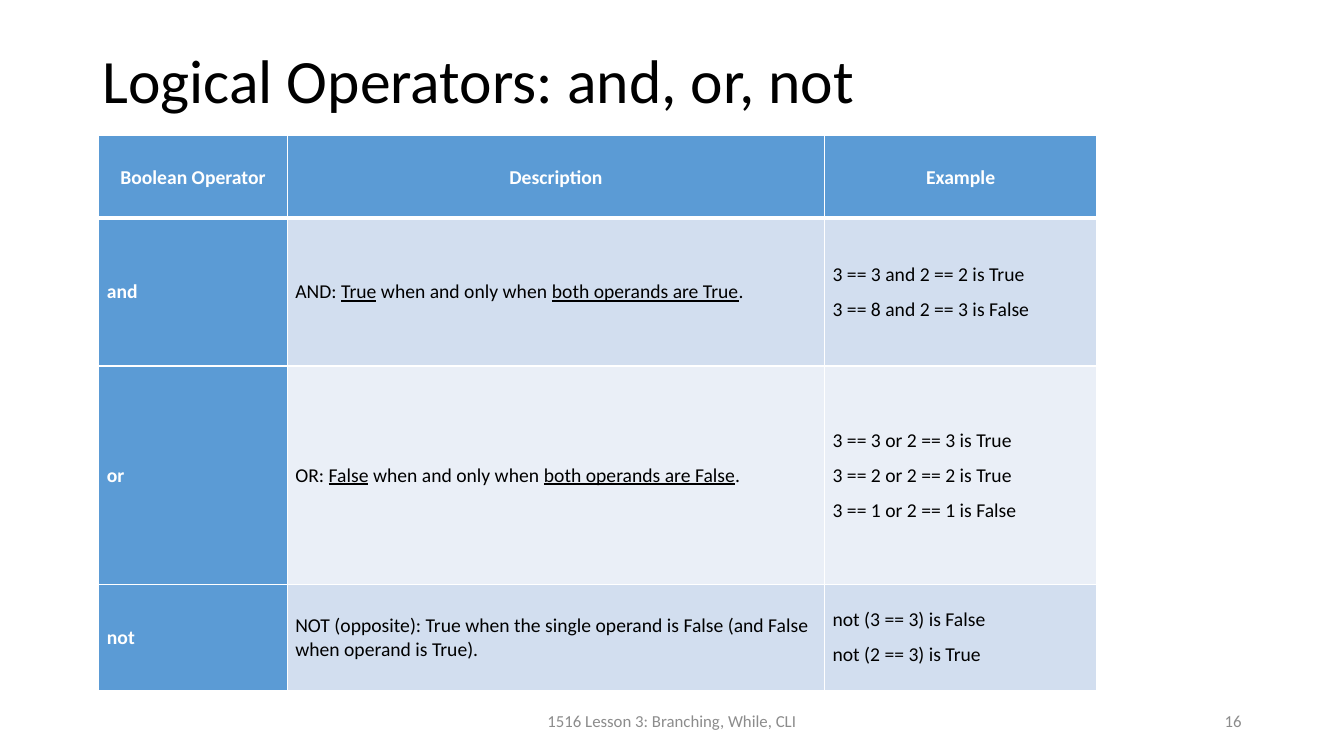
from lxml import etree
from pptx import Presentation
from pptx.dml.color import RGBColor
from pptx.enum.text import MSO_ANCHOR, PP_ALIGN
from pptx.oxml.ns import qn
from pptx.util import Pt

LEFT, CENTER, RIGHT = PP_ALIGN.LEFT, PP_ALIGN.CENTER, PP_ALIGN.RIGHT
MIDDLE = MSO_ANCHOR.MIDDLE
TITLE_ONLY = 5
FONT = "Calibri"
COLORS = {
    "text": "000000",
    "header": "5B9BD5",
    "white": "FFFFFF",
    "dark_band": "D2DEEF",
    "light_band": "EAEFF7",
    "footer": "8C8C8C",
}

TITLE = "Logical Operators: and, or, not"
# Each cell is a list of lines; text between underscores is underlined.
ROWS = [
    [["Boolean Operator"], ["Description"], ["Example"]],
    [
        ["and"],
        ["AND: _True_ when and only when _both operands are True_."],
        ["3 == 3 and 2 == 2 is True", "3 == 8 and 2 == 3 is False"],
    ],
    [
        ["or"],
        ["OR: _False_ when and only when _both operands are False_."],
        ["3 == 3 or 2 == 3 is True", "3 == 2 or 2 == 2 is True", "3 == 1 or 2 == 1 is False"],
    ],
    [
        ["not"],
        ["NOT (opposite): True when the single operand is False (and False when operand is True)."],
        ["not (3 == 3) is False", "not (2 == 3) is True"],
    ],
]
COLUMN_WIDTHS = [134.6, 383.8, 194.4]
ROW_HEIGHTS = [59, 105.8, 156.2, 75.6]
TABLE_LEFT, TABLE_TOP = 70.6, 96.7
FOOTER_TOP, FOOTER_HEIGHT = 500.5, 28.8
# text, left, width, alignment
FOOTERS = [
    ("1516 Lesson 3: Branching, While, CLI", 318, 324, CENTER),
    ("16", 678, 216, RIGHT),
]


def style_run(run, size, color, bold=False, underline=False):
    font = run.font
    font.name = FONT
    font.size = Pt(size)
    font.bold = bold
    font.underline = underline
    font.color.rgb = RGBColor.from_string(COLORS[color])


def place(shape, left, top, width, height):
    shape.left, shape.top = Pt(left), Pt(top)
    shape.width, shape.height = Pt(width), Pt(height)


def add_borders(cell, bottom_width):
    properties = cell._tc.get_or_add_tcPr()
    widths = {"a:lnL": 1, "a:lnR": 1, "a:lnT": 1, "a:lnB": bottom_width}
    for position, (tag, width) in enumerate(widths.items()):
        line = etree.Element(qn(tag), w=str(Pt(width)))
        fill = etree.SubElement(line, qn("a:solidFill"))
        etree.SubElement(fill, qn("a:srgbClr"), val=COLORS["white"])
        properties.insert(position, line)


def fill_cell(cell, lines, row, column):
    is_header = row == 0
    is_label = is_header or column == 0
    band = "dark_band" if row % 2 else "light_band"
    cell.fill.solid()
    cell.fill.fore_color.rgb = RGBColor.from_string(COLORS["header" if is_label else band])
    cell.vertical_anchor = MIDDLE
    margin = Pt(3.6 if is_header else 5.76)
    cell.margin_left = cell.margin_right = margin
    cell.margin_top = cell.margin_bottom = margin
    cell.text_frame.text = "\n".join(lines)
    for paragraph, line in zip(cell.text_frame.paragraphs, lines):
        paragraph.alignment = CENTER if is_header else LEFT
        paragraph.line_spacing = 1.07 if is_header else 1.0
        paragraph.space_after = Pt(8)
        paragraph.text = ""
        for index, part in enumerate(line.split("_")):
            run = paragraph.add_run()
            run.text = part
            style_run(run, 14, "white" if is_label else "text", is_label, index % 2 == 1)
    add_borders(cell, 3 if is_header else 1)


def add_title(slide):
    title = slide.shapes.title
    place(title, 66, 28.8, 828, 61.2)
    title.text_frame.text = TITLE
    title.text_frame.vertical_anchor = MIDDLE
    paragraph = title.text_frame.paragraphs[0]
    paragraph.alignment = LEFT
    paragraph.line_spacing = 0.9
    style_run(paragraph.runs[0], 44, "text")


def add_operator_table(slide):
    frame = slide.shapes.add_table(
        len(ROWS), len(COLUMN_WIDTHS), Pt(TABLE_LEFT), Pt(TABLE_TOP),
        Pt(sum(COLUMN_WIDTHS)), Pt(sum(ROW_HEIGHTS)))
    table = frame.table
    for column, width in zip(table.columns, COLUMN_WIDTHS):
        column.width = Pt(width)
    for row, height in zip(table.rows, ROW_HEIGHTS):
        row.height = Pt(height)
    for row, cells in enumerate(ROWS):
        for column, lines in enumerate(cells):
            fill_cell(table.cell(row, column), lines, row, column)


def add_footers(slide):
    for text, left, width, alignment in FOOTERS:
        box = slide.shapes.add_textbox(Pt(left), Pt(FOOTER_TOP), Pt(width), Pt(FOOTER_HEIGHT))
        text_frame = box.text_frame
        text_frame.word_wrap = True
        text_frame.vertical_anchor = MIDDLE
        text_frame.text = text
        paragraph = text_frame.paragraphs[0]
        paragraph.alignment = alignment
        style_run(paragraph.runs[0], 12, "footer")


def main():
    presentation = Presentation()
    presentation.slide_width, presentation.slide_height = Pt(960), Pt(540)
    slide = presentation.slides.add_slide(presentation.slide_layouts[TITLE_ONLY])
    add_title(slide)
    add_operator_table(slide)
    add_footers(slide)
    presentation.save("out.pptx")


if __name__ == "__main__":
    main()
